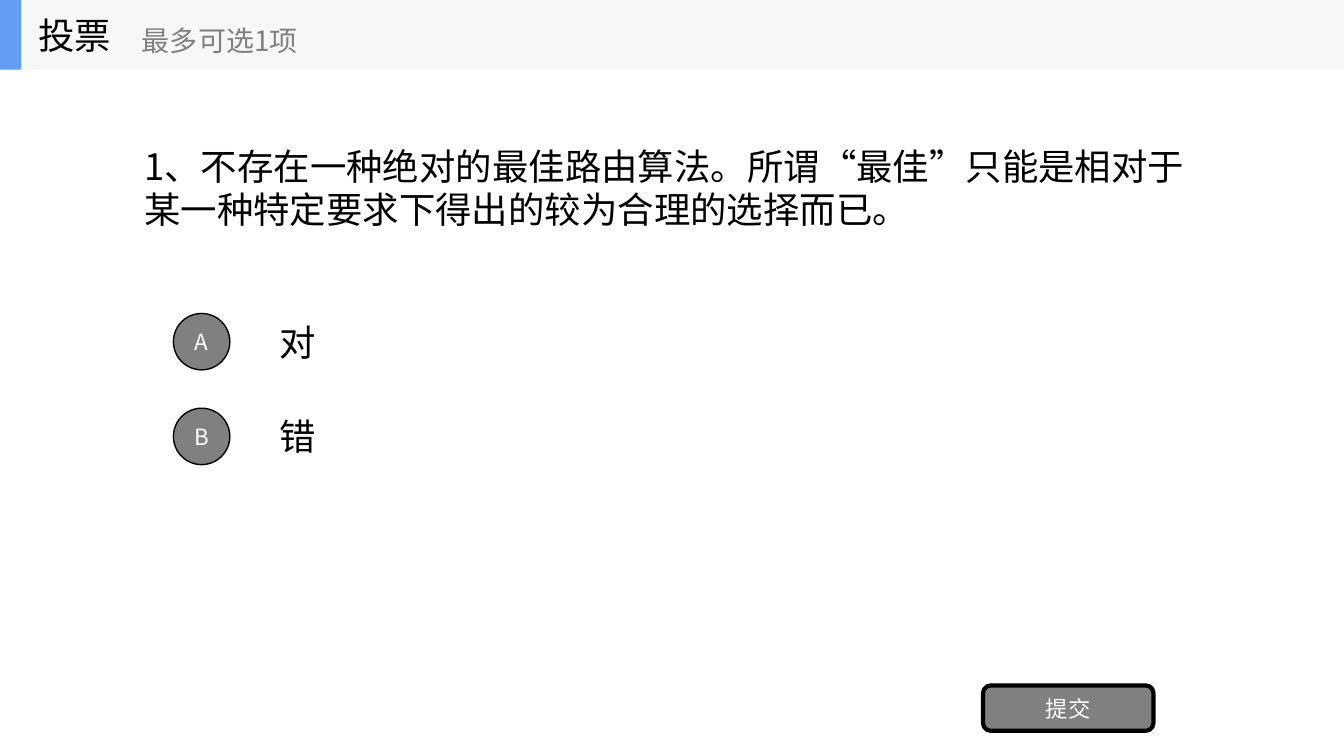
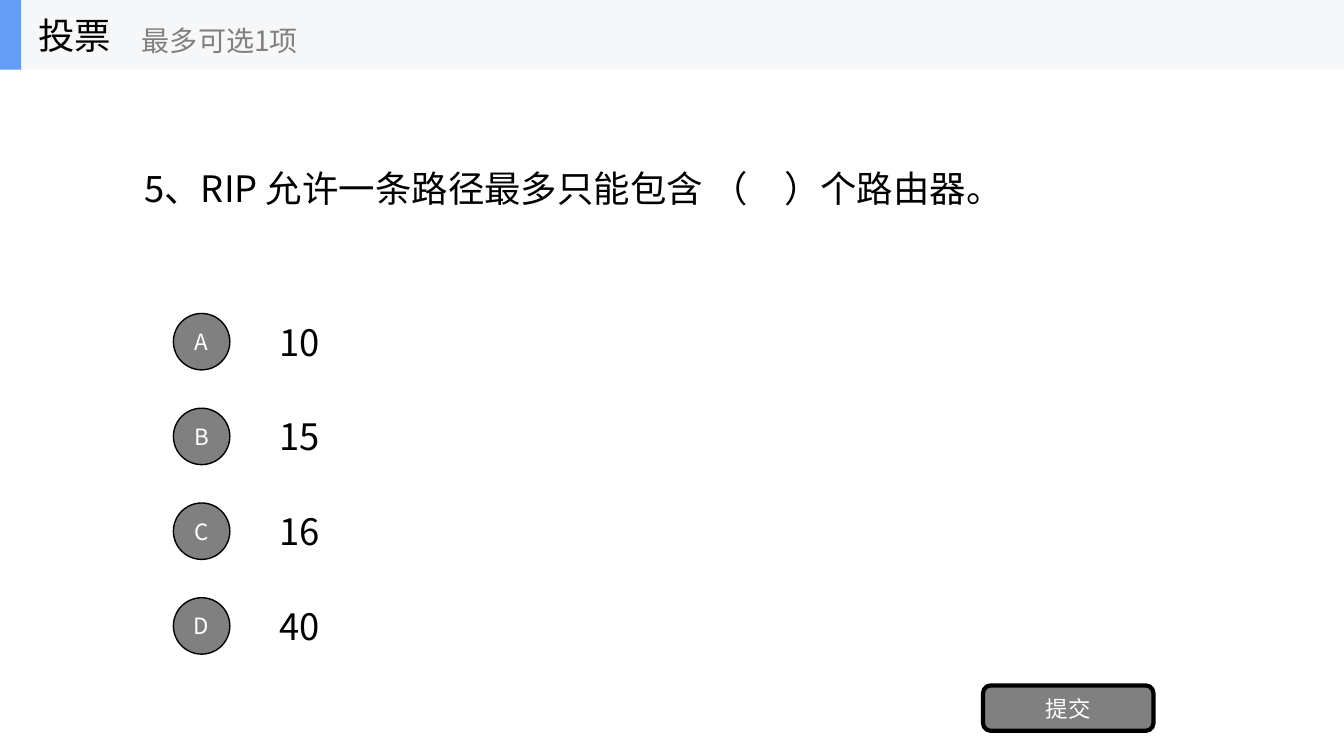
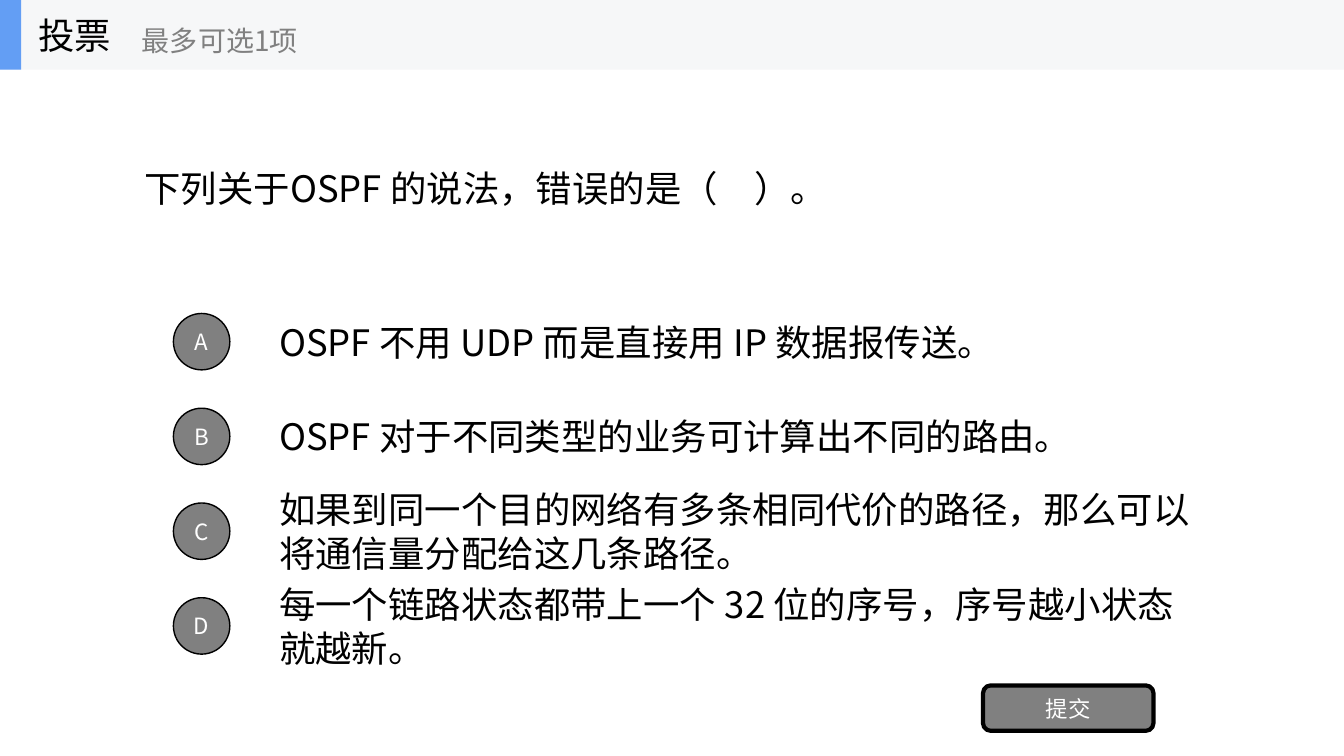
"""Build three poll slides about routing protocols."""

from dataclasses import dataclass

from pptx import Presentation
from pptx.dml.color import RGBColor
from pptx.enum.lang import MSO_LANGUAGE_ID
from pptx.enum.shapes import MSO_SHAPE
from pptx.enum.text import MSO_ANCHOR, MSO_AUTO_SIZE, PP_ALIGN
from pptx.oxml.xmlchemy import OxmlElement
from pptx.shapes.autoshape import Shape
from pptx.slide import Slide
from pptx.util import Inches, Length, Pt

RECTANGLE = MSO_SHAPE.RECTANGLE
ROUNDED_RECTANGLE = MSO_SHAPE.ROUNDED_RECTANGLE
OVAL = MSO_SHAPE.OVAL
MIDDLE = MSO_ANCHOR.MIDDLE
NO_AUTOFIT = MSO_AUTO_SIZE.NONE
LEFT = PP_ALIGN.LEFT
CENTER = PP_ALIGN.CENTER
CHINESE = MSO_LANGUAGE_ID.SIMPLIFIED_CHINESE

BLACK = RGBColor(0x00, 0x00, 0x00)
WHITE = RGBColor(0xFF, 0xFF, 0xFF)
GRAY = RGBColor(0x80, 0x80, 0x80)
BAND_GRAY = RGBColor(0xF6, 0xF7, 0xF8)
ACCENT_BLUE = RGBColor(0x63, 0x9E, 0xF4)

FONT_NAME = "Noto Sans CJK SC"
TITLE_ONLY_LAYOUT = 5
SLIDE_WIDTH = 13.33
SLIDE_HEIGHT = 7.5
BAND_HEIGHT = 0.69
OPTION_TOP = 3.04
OPTION_PITCH = 0.94
BADGE_OFFSET = 0.07
BADGE_SIZE = 0.56
OPTION_LETTERS = "ABCD"


@dataclass(frozen=True)
class Box:
    """A rectangle on the slide, in inches."""

    left: float
    top: float
    width: float
    height: float

    def lengths(self) -> tuple[Length, Length, Length, Length]:
        """Return left, top, width and height as lengths."""
        return Inches(self.left), Inches(self.top), Inches(self.width), Inches(self.height)


@dataclass(frozen=True)
class TextStyle:
    """Size, colour and alignment of a text."""

    size: int
    color: RGBColor
    alignment: PP_ALIGN = LEFT


@dataclass(frozen=True)
class Poll:
    """A question with its answer options."""

    question: str
    options: tuple[str, ...]


BODY_STYLE = TextStyle(26, BLACK)
HINT_STYLE = TextStyle(20, GRAY)
BUTTON_STYLE = TextStyle(16, WHITE, CENTER)

QUESTION_BOX = Box(1.33, BAND_HEIGHT, 10.67, 2.34)
SUBMIT_BOX = Box(9.75, 6.8, 1.69, 0.45)

POLLS = (
    Poll(
        "1、不存在一种绝对的最佳路由算法。所谓“最佳”只能是相对于某一种特定要求下得出的较为合理的选择而已。",
        ("对", "错"),
    ),
    Poll(
        "5、RIP 允许一条路径最多只能包含 （　）个路由器。",
        ("10", "15", "16", "40"),
    ),
    Poll(
        "下列关于OSPF 的说法，错误的是（　）。",
        (
            "OSPF 不用 UDP 而是直接用 IP 数据报传送。",
            "OSPF 对于不同类型的业务可计算出不同的路由。",
            "如果到同一个目的网络有多条相同代价的路径，那么可以将通信量分配给这几条路径。",
            "每一个链路状态都带上一个 32 位的序号，序号越小状态就越新。",
        ),
    ),
)


def write_text(shape: Shape, text: str, style: TextStyle) -> None:
    """Write one styled run, vertically centred in the shape."""
    frame = shape.text_frame
    frame.word_wrap = True
    frame.auto_size = NO_AUTOFIT
    frame.vertical_anchor = MIDDLE
    paragraph = frame.paragraphs[0]
    paragraph.alignment = style.alignment
    run = paragraph.add_run()
    run.text = text
    run.font.size = Pt(style.size)
    run.font.color.rgb = style.color
    run.font.name = FONT_NAME
    run.font.language_id = CHINESE
    east_asian = OxmlElement("a:ea")
    east_asian.set("typeface", FONT_NAME)
    run.font._element.append(east_asian)


def add_text(shapes, box: Box, text: str, style: TextStyle) -> None:
    """Add a text box to a slide or group."""
    write_text(shapes.add_textbox(*box.lengths()), text, style)


def add_panel(shapes, box: Box, fill: RGBColor) -> None:
    """Add a plain rectangle without an outline."""
    panel = shapes.add_shape(RECTANGLE, *box.lengths())
    panel.shadow.inherit = False
    panel.fill.solid()
    panel.fill.fore_color.rgb = fill
    panel.line.fill.background()


def add_button(slide: Slide, kind: MSO_SHAPE, box: Box, label: str, line_width: float) -> None:
    """Add a gray outlined button with a white label."""
    button = slide.shapes.add_shape(kind, *box.lengths())
    button.shadow.inherit = False
    button.fill.solid()
    button.fill.fore_color.rgb = GRAY
    button.line.color.rgb = BLACK
    button.line.width = Pt(line_width)
    write_text(button, label, BUTTON_STYLE)


def add_header(slide: Slide) -> None:
    """Add the grouped poll header across the top."""
    shapes = slide.shapes.add_group_shape().shapes
    add_panel(shapes, Box(0, 0, SLIDE_WIDTH, BAND_HEIGHT), BAND_GRAY)
    add_panel(shapes, Box(0, 0, 0.21, BAND_HEIGHT), ACCENT_BLUE)
    add_text(shapes, Box(0.28, 0, 2.08, BAND_HEIGHT), "投票", BODY_STYLE)
    add_text(shapes, Box(1.31, 0.12, 2.5, 0.56), "最多可选1项", HINT_STYLE)


def add_question(slide: Slide, question: str) -> None:
    """Place the question in the title placeholder."""
    title = slide.shapes.title
    title.left, title.top, title.width, title.height = QUESTION_BOX.lengths()
    write_text(title, question, BODY_STYLE)


def add_options(slide: Slide, options: tuple[str, ...]) -> None:
    """Add the lettered answer options at equal steps."""
    for index, (letter, option) in enumerate(zip(OPTION_LETTERS, options)):
        top = OPTION_TOP + index * OPTION_PITCH
        badge = Box(1.72, top + BADGE_OFFSET, BADGE_SIZE, BADGE_SIZE)
        add_text(slide.shapes, Box(2.67, top, 9.33, 0.7), option, BODY_STYLE)
        add_button(slide, OVAL, badge, letter, 1)


def main() -> None:
    """Build and save the presentation."""
    presentation = Presentation()
    presentation.slide_width = Inches(SLIDE_WIDTH)
    presentation.slide_height = Inches(SLIDE_HEIGHT)
    layout = presentation.slide_layouts[TITLE_ONLY_LAYOUT]
    for poll in POLLS:
        slide = presentation.slides.add_slide(layout)
        add_question(slide, poll.question)
        add_options(slide, poll.options)
        add_button(slide, ROUNDED_RECTANGLE, SUBMIT_BOX, "提交", 3)
        add_header(slide)
    presentation.save("out.pptx")


if __name__ == "__main__":
    main()
